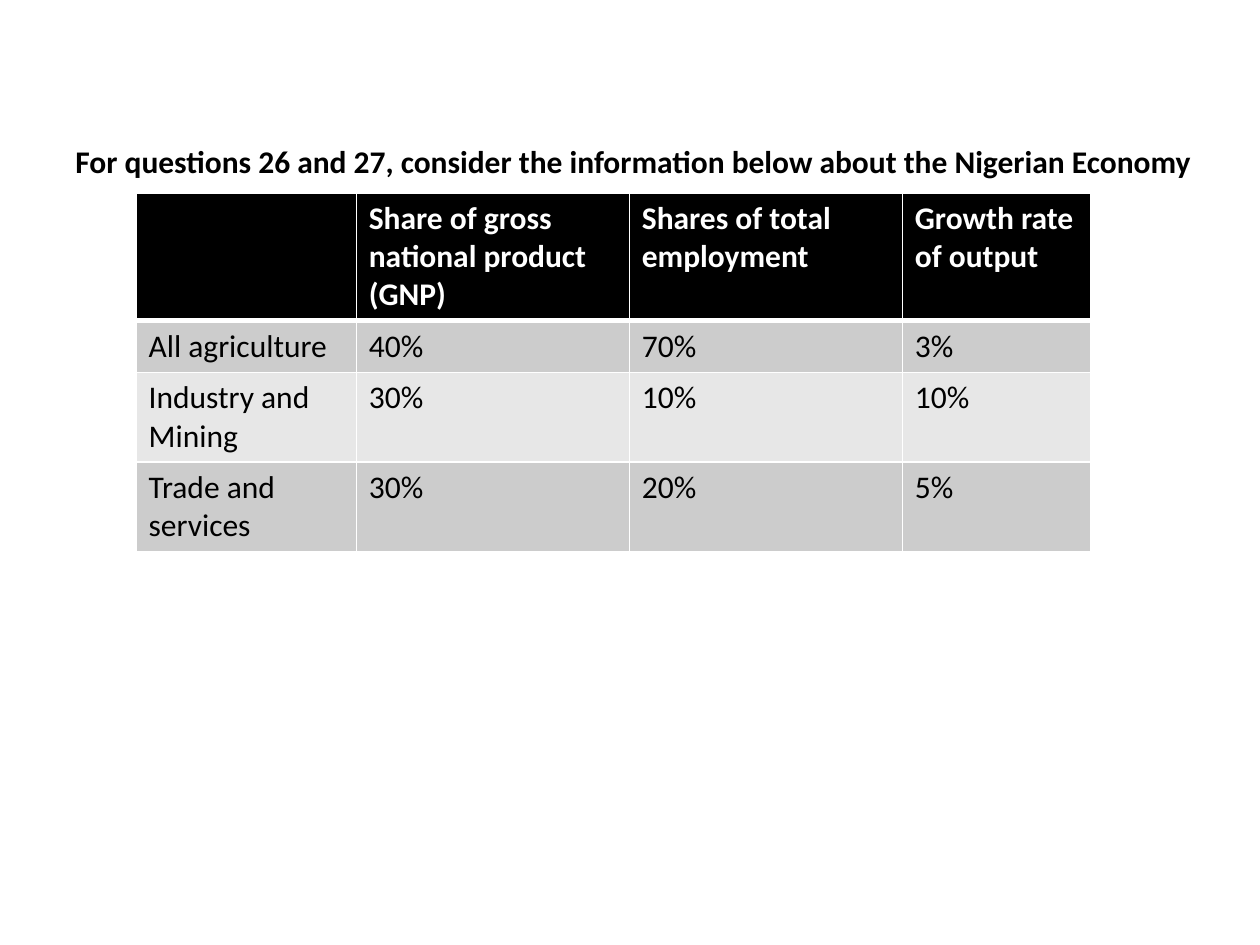
import pptx
import pptx.dml.color
import pptx.enum.text
import pptx.oxml
import pptx.oxml.ns
import pptx.util
from pptx.util import Inches

HEADING = "For questions 26 and 27, consider the information below about the Nigerian Economy"
SECTORS = [
    ["", "Share of gross national product (GNP)", "Shares of total employment", "Growth rate of output"],
    ["All agriculture", "40%", "70%", "3%"],
    ["Industry and Mining", "30%", "10%", "10%"],
    ["Trade and services", "30%", "20%", "5%"],
]
COLUMN_WIDTHS = [1.75, 2.17, 2.17, 1.5]
ROW_HEIGHTS = [1, 0.41, 0.7, 0.7]


def rgb(value):
    """Return the colour of a hex string."""
    return pptx.dml.color.RGBColor.from_string(value)


def write(paragraph, text, color, bold):
    """Add one run in the slide's text style."""
    run = paragraph.add_run()
    run.text = text
    run.font.name = "Calibri"
    run.font.size = pptx.util.Pt(18)
    run.font.bold = bold
    run.font.color.rgb = rgb(color)


def set_borders(cell, top, bottom):
    """Draw white cell borders with the given top and bottom widths in points."""
    properties = cell._tc.get_or_add_tcPr()
    widths = {"lnL": 1, "lnR": 1, "lnT": top, "lnB": bottom}
    for index, (side, width) in enumerate(widths.items()):
        border = pptx.oxml.parse_xml(
            f'<a:{side} {pptx.oxml.ns.nsdecls("a")} w="{pptx.util.Pt(width)}">'
            f'<a:solidFill><a:srgbClr val="FFFFFF"/></a:solidFill></a:{side}>'
        )
        properties.insert(index, border)


def add_heading(slide, left, top, width, height):
    """Place the one-line heading in its box."""
    heading = slide.shapes.add_textbox(left, top, width, height)
    frame = heading.text_frame
    frame.word_wrap = False
    frame.auto_size = pptx.enum.text.MSO_AUTO_SIZE.SHAPE_TO_FIT_TEXT
    write(frame.paragraphs[0], HEADING, "000000", True)


def add_sector_table(slide, left, top, width, height):
    """Place the table of economic sectors in its box."""
    table = slide.shapes.add_table(len(SECTORS), len(SECTORS[0]), left, top, width, height).table
    for column, share in zip(table.columns, COLUMN_WIDTHS):
        column.width = int(width * share / sum(COLUMN_WIDTHS))
    for row, share in zip(table.rows, ROW_HEIGHTS):
        row.height = int(height * share / sum(ROW_HEIGHTS))
    for r, sector in enumerate(SECTORS):
        is_header = r == 0
        fill = "000000" if is_header else ("E7E7E7", "CCCCCC")[r % 2]
        for c, text in enumerate(sector):
            cell = table.cell(r, c)
            cell.fill.solid()
            cell.fill.fore_color.rgb = rgb(fill)
            set_borders(cell, 3 if r == 1 else 1, 3 if is_header else 1)
            if text:
                write(cell.text_frame.paragraphs[0], text, "FFFFFF" if is_header else "000000", is_header)


def main():
    """Build and save the slide."""
    presentation = pptx.Presentation()
    presentation.slide_width = Inches(10)
    presentation.slide_height = Inches(7.5)
    slide = presentation.slides.add_slide(presentation.slide_layouts[6])
    add_sector_table(slide, Inches(1.08), Inches(1.53), Inches(7.58), Inches(2.81))
    add_heading(slide, Inches(0.5), Inches(1.08), Inches(9.19), Inches(0.4))
    presentation.save("out.pptx")


if __name__ == "__main__":
    main()
